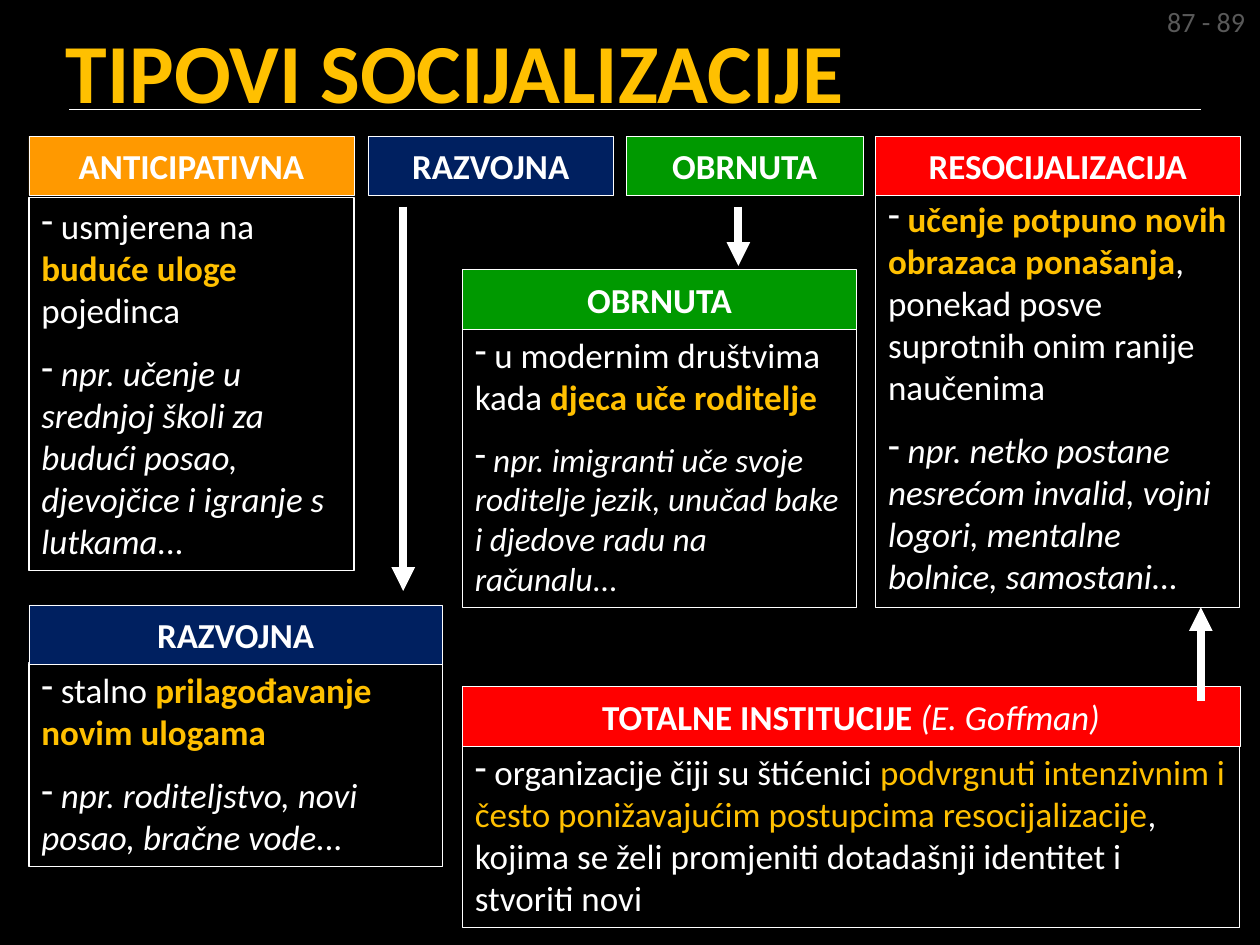
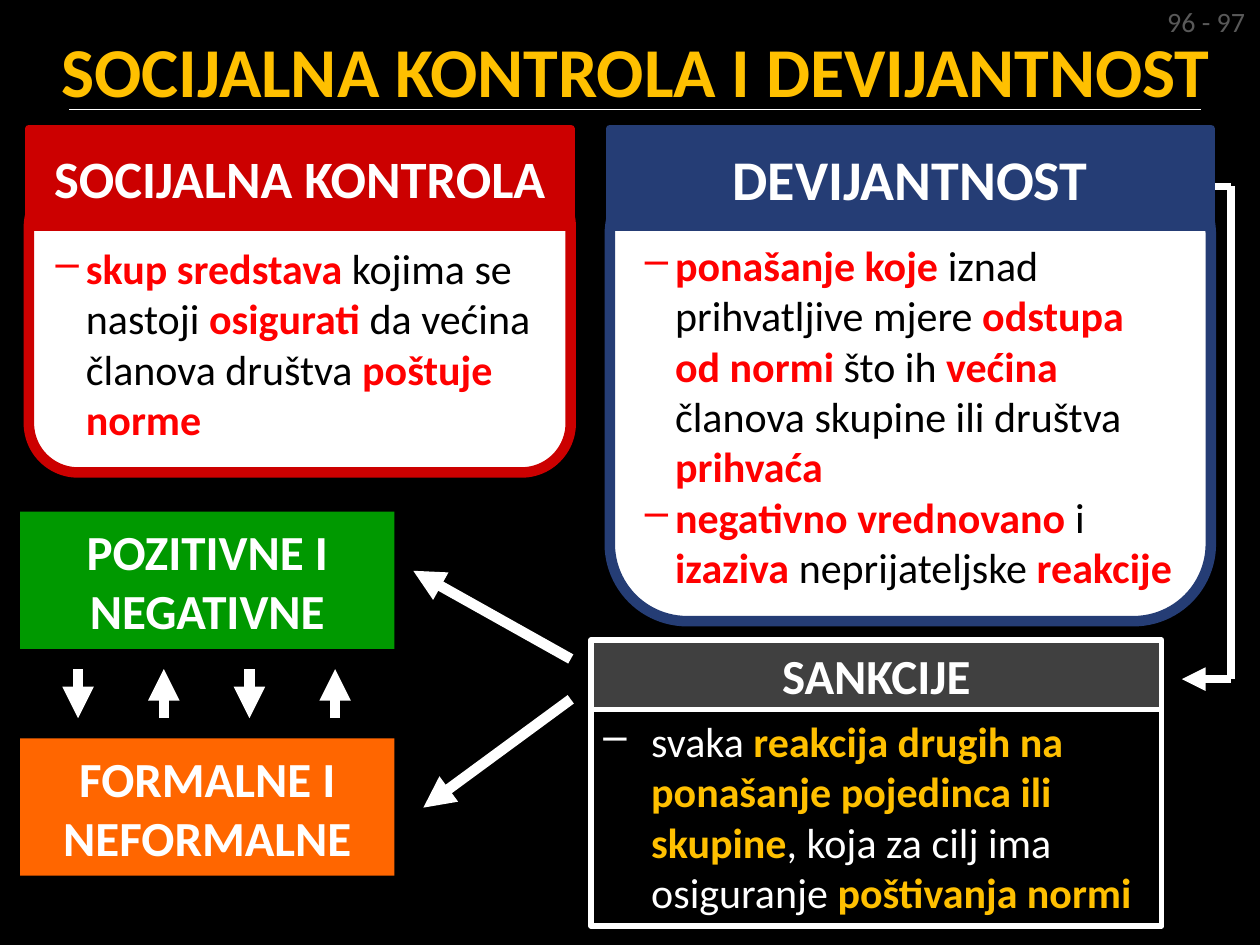
from dataclasses import dataclass

from lxml import etree
from pptx import Presentation
from pptx.dml.color import RGBColor
from pptx.enum import shapes as kinds, text as txt
from pptx.oxml.ns import qn
from pptx.util import Inches, Pt


@dataclass(frozen=True)
class Theme:
    font: str = "Calibri"
    black: str = "000000"
    white: str = "FFFFFF"
    gold: str = "FFC000"
    grey: str = "595959"
    slate: str = "404040"
    amber: str = "FF9900"
    orange: str = "FF6600"
    navy: str = "002060"
    blue: str = "253D75"
    green: str = "009900"
    red: str = "FF0000"
    wine: str = "CC0000"
    page: int = 16
    body: int = 20
    list: int = 24
    label: int = 28


T = Theme()
HOT = {"bold": True, "color": T.gold}
TINT = {"color": T.gold}
KEY = {"bold": True, "color": T.red}
RECT = kinds.MSO_SHAPE.RECTANGLE
ROUND = kinds.MSO_SHAPE.ROUNDED_RECTANGLE
CENTER = txt.PP_ALIGN.CENTER
MIDDLE = txt.MSO_ANCHOR.MIDDLE


def place(x, y, w, h):
    return Inches(x), Inches(y), Inches(w), Inches(h)


def style(font, color=None, size=None, bold=None, italic=None):
    if color:
        font.color.rgb = RGBColor.from_string(color)
    if size:
        font.size = Pt(size)
    if bold is not None:
        font.bold = bold
    if italic is not None:
        font.italic = italic


def mark(para, char, indent):
    """Give the paragraph a bullet character and a hanging indent."""
    props = para._p.get_or_add_pPr()
    props.set("marL", str(Inches(indent)))
    props.set("indent", str(-Inches(indent)))
    bullet = etree.Element(qn("a:buChar"), char=char)
    fonts = props.find(qn("a:defRPr"))
    if fonts is None:
        props.append(bullet)
    else:
        fonts.addprevious(bullet)


def write(frame, paras, size, color=T.white, bold=False, align=None,
          bullet=None, indent=0, gap=0):
    """Fill a frame; each paragraph is a list of strings or (string, style)."""
    for i, runs in enumerate(paras):
        para = frame.add_paragraph() if i else frame.paragraphs[0]
        para.alignment = align or txt.PP_ALIGN.LEFT
        if i:
            para.space_before = Pt(gap)
        para.font.name = T.font
        style(para.font, color, size, bold)
        for item in runs:
            words, look = (item, {}) if isinstance(item, str) else item
            run = para.add_run()
            run.text = words
            style(run.font, **look)
        if bullet:
            mark(para, bullet, indent)


def box(slide, area, fill=None, edge=None, width=0.75, kind=RECT):
    shape = slide.shapes.add_shape(kind, *place(*area))
    shape.shadow.inherit = False
    if fill:
        shape.fill.solid()
        shape.fill.fore_color.rgb = RGBColor.from_string(fill)
    else:
        shape.fill.background()
    if edge:
        shape.line.color.rgb = RGBColor.from_string(edge)
        shape.line.width = Pt(width)
    else:
        shape.line.fill.background()
    shape.text_frame.vertical_anchor = txt.MSO_ANCHOR.TOP
    return shape


def head(slide, area, runs, fill, size=T.body, edge=T.white, width=0.25):
    frame = box(slide, area, fill, edge, width).text_frame
    frame.vertical_anchor = MIDDLE
    write(frame, [runs], size, bold=True, align=CENTER)


def panel(slide, area, paras):
    frame = box(slide, area, edge=T.white).text_frame
    frame.auto_size = txt.MSO_AUTO_SIZE.SHAPE_TO_FIT_TEXT
    write(frame, paras, T.body, bullet="-", gap=12)


def card(slide, x, w, h, title, size, color, top, paras):
    """Rounded white list under a solid heading band."""
    area = (x, 1.02 + h[0], w, h[1])
    frame = box(slide, area, T.white, color, 6, ROUND).text_frame
    frame.margin_top = Inches(top)
    write(frame, paras, T.list, T.black, bullet="–", indent=0.24)
    head(slide, (x, 1.02, w, 0.78), [title], color, size, color, 4.5)


def line(slide, start, end, width=4.5, arrow=True):
    link = slide.shapes.add_connector(
        kinds.MSO_CONNECTOR.STRAIGHT, *map(Inches, start + end))
    link.line.color.rgb = RGBColor.from_string(T.white)
    link.line.width = Pt(width)
    if arrow:
        etree.SubElement(link.line._get_or_add_ln(), qn("a:tailEnd"),
                         type="triangle")
    etree.SubElement(link._element.spPr, qn("a:effectLst"))


def begin(deck, title, size, area, pages, align=None):
    """Add a slide with its title, rule and page reference."""
    slide = deck.slides.add_slide(deck.slide_layouts[5])
    name = slide.shapes.title
    name.left, name.top, name.width, name.height = place(*area)
    frame = name.text_frame
    frame.auto_size = txt.MSO_AUTO_SIZE.NONE
    frame.vertical_anchor = MIDDLE
    write(frame, [[title]], size, T.gold, True, align)
    line(slide, (0.55, 0.87), (9.53, 0.87), 1, False)
    note = slide.shapes.add_textbox(*place(9.15, -0.01, 0.83, 0.37))
    note.text_frame.word_wrap = False
    write(note.text_frame, [[pages]], T.page, T.grey,
          align=txt.PP_ALIGN.RIGHT)
    return slide


def sample(words, size=T.body):
    return [(" ", {"size": size}), (words, {"size": size, "italic": True})]


def types(deck):
    slide = begin(deck, "TIPOVI SOCIJALIZACIJE", 48,
                  (0.42, 0.08, 8.88, 0.95), "87 - 89")
    panels = [
        ((6.95, 1.52, 2.89, 3.3), [
            [" ", ("učenje potpuno novih obrazaca ponašanja", HOT),
             ", ponekad posve suprotnih onim ranije naučenima"],
            sample("npr. netko postane nesrećom invalid, vojni logori, "
                   "mentalne bolnice, samostani...")]),
        ((0.23, 1.57, 2.58, 2.96), [
            [" usmjerena na ", ("buduće uloge ", HOT), "pojedinca"],
            sample("npr. učenje u srednjoj školi za budući posao, "
                   "djevojčice i igranje s lutkama...")]),
        ((0.23, 5.26, 3.28, 1.62), [
            [" stalno ", ("prilagođavanje novim ulogama", HOT)],
            sample("npr. roditeljstvo, novi posao, bračne vode...")]),
        ((3.67, 2.6, 3.13, 2.22), [
            [" u modernim društvima kada ", ("djeca uče roditelje", HOT)],
            sample("npr. imigranti uče svoje roditelje jezik, unučad bake "
                   "i djedove radu na računalu...", 19)]),
        ((3.67, 5.91, 6.17, 1.45), [
            [" organizacije čiji su štićenici ",
             ("podvrgnuti intenzivnim i često ponižavajućim postupcima "
              "resocijalizacije", TINT),
             ", kojima se želi promjeniti dotadašnji identitet i "
             "stvoriti novi"]]),
    ]
    for area, paras in panels:
        panel(slide, area, paras)

    author = ("(E. Goffman)", {"bold": False, "italic": True})
    heads = [
        (0.23, 1.08, 2.58, ["ANTICIPATIVNA"], T.amber),
        (2.92, 1.08, 1.95, ["RAZVOJNA"], T.navy),
        (4.97, 1.08, 1.88, ["OBRNUTA"], T.green),
        (6.95, 1.08, 2.89, ["RESOCIJALIZACIJA"], T.red),
        (0.23, 4.8, 3.28, ["RAZVOJNA"], T.navy),
        (3.67, 2.14, 3.13, ["OBRNUTA"], T.green),
        (3.67, 5.45, 6.17, ["TOTALNE INSTITUCIJE ", author], T.red),
    ]
    for x, y, w, runs, fill in heads:
        head(slide, (x, y, w, 0.47), runs, fill)

    for x, top, end in ((3.2, 1.64, 4.69), (5.86, 1.64, 2.11),
                        (9.53, 5.56, 4.82)):
        line(slide, (x, top), (x, end))


def control(deck):
    slide = begin(deck, "SOCIJALNA KONTROLA I DEVIJANTNOST", 40,
                  (0.2, 0.08, 9.69, 0.95), "96 - 97", CENTER)
    line(slide, (9.51, 1.48), (9.77, 1.48), arrow=False)
    line(slide, (9.77, 1.48), (9.77, 5.39), arrow=False)
    line(slide, (9.77, 5.39), (9.38, 5.39))

    card(slide, 0.23, 4.3, (0.39, 2.34), "SOCIJALNA KONTROLA", 30, T.wine,
         0.4, [
             [("skup sredstava ", KEY), "kojima se nastoji ",
              ("osigurati", KEY), " da većina članova društva ",
              ("poštuje norme", KEY)]])
    card(slide, 4.84, 4.77, (0.23, 3.68), "DEVIJANTNOST", 32, T.blue,
         0.47, [
             [("ponašanje koje ", KEY), "iznad prihvatljive mjere ",
              ("odstupa od normi ", KEY), "što ih ", ("većina ", KEY),
              "članova skupine ili društva ", ("prihvaća", KEY)],
             [("negativno vrednovano ", KEY), "i ", ("izaziva ", KEY),
              "neprijateljske ", ("reakcije", KEY)]])

    head(slide, (4.69, 5.08, 4.53, 0.55), ["SANKCIJE"], T.slate, T.label,
         width=3)
    frame = box(slide, (4.69, 5.63, 4.53, 1.72), edge=T.white,
                width=3).text_frame
    frame.auto_size = txt.MSO_AUTO_SIZE.SHAPE_TO_FIT_TEXT
    write(frame, [
        ["svaka ",
         ("reakcija drugih na ponašanje pojedinca ili skupine", HOT),
         ", koja za cilj ima osiguranje ", ("poštivanja normi", HOT)]],
        T.list, bullet="–", indent=0.38)

    for y, words, fill in ((4.06, "POZITIVNE I NEGATIVNE", T.green),
                           (5.86, "FORMALNE I NEFORMALNE", T.orange)):
        head(slide, (0.16, y, 2.97, 1.09), [words], fill, T.label, None)

    line(slide, (4.53, 5.23), (3.28, 4.53), 6)
    line(slide, (4.53, 5.55), (3.36, 6.41), 6)
    for i in range(4):
        x = 0.62 + 0.68 * i
        start, end = (5.7, 5.31) if i % 2 else (5.31, 5.7)
        line(slide, (x, start), (x, end), 6)


def main():
    deck = Presentation()
    deck.slide_width, deck.slide_height = Inches(10), Inches(7.5)
    back = deck.slide_master.background.fill
    back.solid()
    back.fore_color.rgb = RGBColor.from_string(T.black)
    types(deck)
    control(deck)
    deck.save("out.pptx")


if __name__ == "__main__":
    main()
